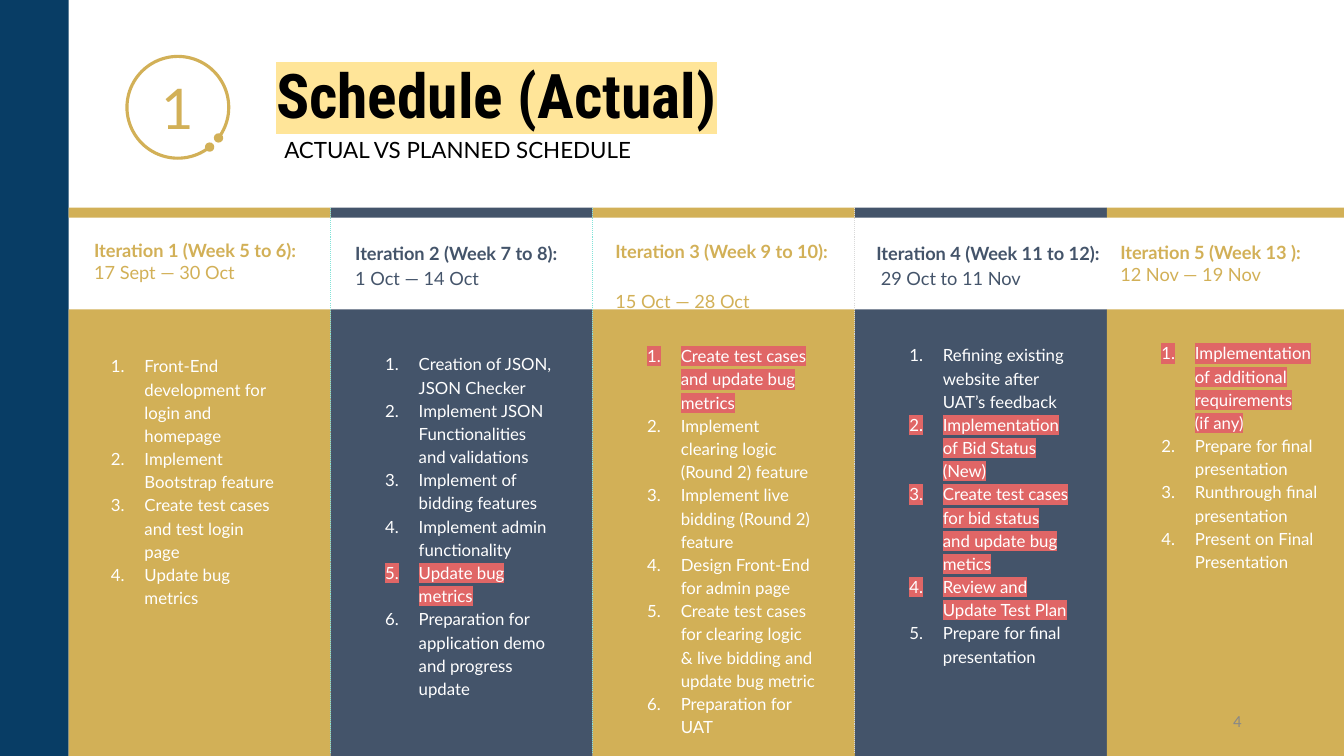
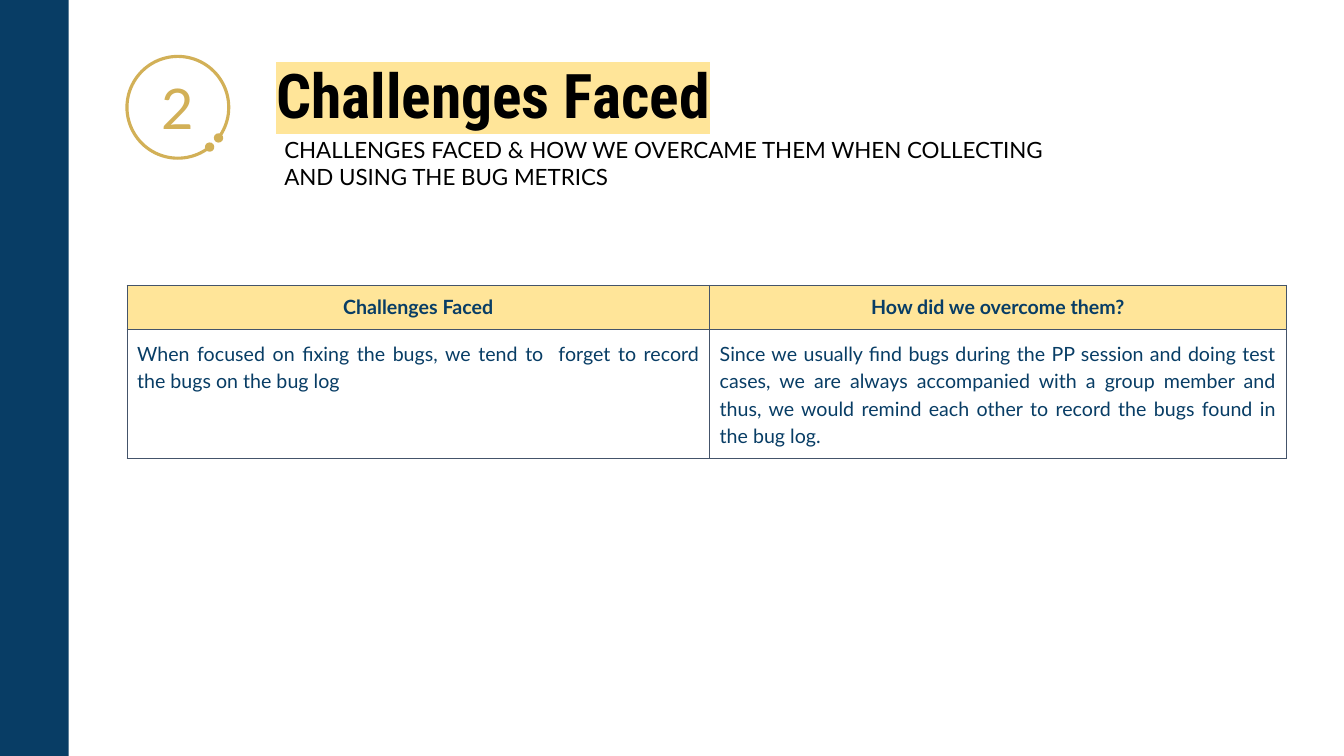
from copy import deepcopy
from lxml.etree import SubElement
from pptx import Presentation
from pptx.dml.color import RGBColor
from pptx.enum.dml import MSO_LINE
from pptx.enum.shapes import MSO_CONNECTOR, MSO_SHAPE
from pptx.enum.text import MSO_ANCHOR, MSO_AUTO_SIZE, PP_ALIGN
from pptx.oxml import parse_xml
from pptx.oxml.ns import nsdecls, qn
from pptx.util import Pt

# Shared look
WIDTH, HEIGHT = 960, 540
NAVY, GOLD, SLATE, CREAM = "083D65", "D2B057", "44546A", "FFE599"
BLACK, WHITE, GREY, RED = "000000", "FFFFFF", "888888", "E06666"
BAR_WIDTH = 49
TITLE_STYLE = {"size": Pt(44), "name": "Roboto Condensed", "bold": True}
SUBTITLE_STYLE = {"size": Pt(16), "name": "Lato"}
NUMBER_STYLE = {"size": Pt(40), "name": "Lato"}
HEAD_STYLE = {"size": Pt(13), "name": "Lato"}
TASK_STYLE = {"size": Pt(12), "name": "Lato"}
CELL_STYLE = {"size": Pt(14), "name": "Lato"}
PAGE_STYLE = {"size": Pt(12), "name": "Calibri"}

# Schedule: boxes are (offset from column, top, width); late tasks are highlighted
BAND_TOP, BAND_HEIGHT, BODY_TOP = 148.3, 7.2, 221
ITERATIONS = [
    {"width": 187.2, "color": GOLD, "divider": "83E3D9", "spacing": 1,
     "head": ("Iteration 1 (Week 5 to 6):\n", "17 Sept — 30 Oct"),
     "head_box": (8.6, 161.3, 168.5), "task_box": (8.6, 242.6, 152), "late": (),
     "tasks": ["Front-End development for login and homepage",
               "Implement Bootstrap feature",
               "Create test cases and test login page",
               "Update bug metrics"]},
    {"width": 187.2, "color": SLATE, "divider": "83E3D9", "spacing": 1.15,
     "head": ("Iteration 2 (Week 7 to 8):\n", "1 Oct — 14 Oct"),
     "head_box": (7.9, 161.3, 170), "task_box": (17.3, 241.2, 152), "late": (5,),
     "tasks": ["Creation of JSON, JSON Checker",
               "Implement JSON Functionalities and validations",
               "Implement of bidding features",
               "Implement admin functionality",
               "Update bug metrics",
               "Preparation for application demo and progress update"]},
    {"width": 187.2, "color": GOLD, "divider": "D9D9D9", "spacing": 1.15,
     "head": ("Iteration 3 (Week 9 to 10):\n\n", "15 Oct — 28 Oct"),
     "head_box": (6.5, 159.8, 176), "task_box": (17.3, 235.4, 152), "late": (1,),
     "tasks": ["Create test cases and update bug metrics",
               "Implement clearing logic (Round 2) feature",
               "Implement live bidding (Round 2) feature",
               "Design Front-End for admin page",
               "Create test cases for clearing logic & live bidding and update bug metric",
               "Preparation for UAT"]},
    {"width": 180, "color": SLATE, "divider": None, "spacing": 1.15,
     "head": ("Iteration 4 (Week 11 to 12):\n ", "29 Oct to 11 Nov"),
     "head_box": (5.8, 161.3, 187.2), "task_box": (17.3, 234.7, 146), "late": (2, 3, 4),
     "tasks": ["Refining existing website after UAT’s feedback",
               "Implementation of Bid Status (New)",
               "Create test cases for bid status and update bug metics",
               "Review and Update Test Plan",
               "Prepare for final presentation"]},
    {"width": 169.4, "color": GOLD, "divider": None, "spacing": 1,
     "head": ("Iteration 5 (Week 13 ):\n", "12 Nov — 19 Nov"),
     "head_box": (0, 162.7, 169), "task_box": (17.3, 233.3, 146), "late": (1,),
     "tasks": ["Implementation of additional requirements\n(if any)",
               "Prepare for final presentation",
               "Runthrough final presentation",
               "Present on Final Presentation"]},
]

# Challenges table
COLUMN_WIDTHS, ROW_HEIGHTS = (416.2, 411.8), (30.6, 92.2)
CHALLENGES = [
    ("Challenges Faced", "How did we overcome them?"),
    ("When focused on fixing the bugs, we tend to  forget to record the bugs on the bug log",
     "Since we usually find bugs during the PP session and doing test cases, we are always "
     "accompanied with a group member and thus, we would remind each other to record the "
     "bugs found in the bug log."),
]


def rgb(value):
    return RGBColor.from_string(value)


def apply(target, values):
    for name, value in values.items():
        setattr(target, name, value)


def add_text(para, text, style, color, highlight=None):
    """Add text in one format; each newline becomes a line break of the same size."""
    for index, line in enumerate(text.split("\n")):
        if index:
            para.add_line_break()
            para._p[-1].append(deepcopy(span._r.rPr))
        span = para.add_run()
        span.text = line
        apply(span.font, style)
        span.font.color.rgb = rgb(color)
        if highlight:
            mark = parse_xml(f'<a:highlight {nsdecls("a")}><a:srgbClr val="{highlight}"/></a:highlight>')
            span._r.rPr.find(qn("a:solidFill")).addnext(mark)


def set_frame(frame, inset_x, inset_y, anchor=MSO_ANCHOR.TOP):
    apply(frame, {"word_wrap": True, "auto_size": MSO_AUTO_SIZE.NONE, "vertical_anchor": anchor,
                  "margin_left": Pt(inset_x), "margin_right": Pt(inset_x),
                  "margin_top": Pt(inset_y), "margin_bottom": Pt(inset_y)})
    return frame


def add_box(page, left, top, width, height, inset_x, inset_y, anchor=MSO_ANCHOR.TOP):
    box = page.shapes.add_textbox(Pt(left), Pt(top), Pt(width), Pt(height))
    return set_frame(box.text_frame, inset_x, inset_y, anchor)


def add_block(page, left, top, width, height, color):
    block = page.shapes.add_shape(MSO_SHAPE.RECTANGLE, Pt(left), Pt(top), Pt(width), Pt(height))
    block.shadow.inherit = False
    block.fill.solid()
    block.fill.fore_color.rgb = rgb(color)
    block.line.fill.background()


def add_page(deck, number, title, subtitle, subtitle_width):
    """Start a slide with the side bar, title, subtitle and ringed number."""
    page = deck.slides.add_slide(deck.slide_layouts[5])
    add_block(page, 0, 0, BAR_WIDTH, HEIGHT, NAVY)
    heading = page.shapes.title
    apply(heading, {"left": Pt(190), "top": Pt(18.7), "width": Pt(680), "height": Pt(78.5)})
    para = set_frame(heading.text_frame, 7.2, 3.6, MSO_ANCHOR.BOTTOM).paragraphs[0]
    para.alignment = PP_ALIGN.LEFT
    add_text(para, title, TITLE_STYLE, BLACK, CREAM)

    frame = add_box(page, 196, 90, subtitle_width, 54, 7.2, 7.2)
    add_text(frame.paragraphs[0], subtitle, SUBTITLE_STYLE, BLACK)

    ring = page.shapes.add_shape(MSO_SHAPE.ARC, Pt(90.7), Pt(40.3), Pt(72.7), Pt(72.7))
    ring.shadow.inherit = False
    ring.adjustments[0], ring.adjustments[1] = 30.83, 22.19
    ring.fill.background()
    ring.line.color.rgb = rgb(GOLD)
    ring.line.width = Pt(2.25)
    for end in ("a:headEnd", "a:tailEnd"):
        SubElement(ring.line._get_or_add_ln(), qn(end), type="oval")
    para = set_frame(ring.text_frame, 7.2, 3.6, MSO_ANCHOR.MIDDLE).paragraphs[0]
    para.alignment = PP_ALIGN.CENTER
    add_text(para, number, NUMBER_STYLE, GOLD)
    return page


def number_paragraph(para):
    props = para._p.get_or_add_pPr()
    props.set("marL", str(Pt(36)))
    props.set("indent", str(-Pt(24)))
    SubElement(SubElement(props, qn("a:buClr")), qn("a:srgbClr"), val=WHITE)
    SubElement(props, qn("a:buFont"), typeface="Lato")
    SubElement(props, qn("a:buAutoNum"), type="arabicPeriod")


def add_divider(page, x, color):
    line = page.shapes.add_connector(MSO_CONNECTOR.STRAIGHT, Pt(x), Pt(BAND_TOP), Pt(x), Pt(538.6))
    apply(line.line, {"width": Pt(0.75), "dash_style": MSO_LINE.ROUND_DOT})
    line.line.color.rgb = rgb(color)
    SubElement(line._element.spPr, qn("a:effectLst"))


def add_iteration(page, left, item):
    width, color = item["width"], item["color"]
    add_block(page, left, BODY_TOP, width, HEIGHT - BODY_TOP, color)
    add_block(page, left, BAND_TOP, width, BAND_HEIGHT, color)

    # Week and dates
    offset, top, box_width = item["head_box"]
    para = add_box(page, left + offset, top, box_width, 54, 9.6, 9.6).paragraphs[0]
    apply(para, {"line_spacing": item["spacing"], "space_after": Pt(21)})
    for text, bold in zip(item["head"], (True, False)):
        add_text(para, text, {**HEAD_STYLE, "bold": bold}, color)

    # Numbered tasks
    offset, top, box_width = item["task_box"]
    frame = add_box(page, left + offset, top, box_width, 245, 9.6, 9.6)
    for index, task in enumerate(item["tasks"], 1):
        para = frame.paragraphs[0] if index == 1 else frame.add_paragraph()
        para.line_spacing = 1.15
        number_paragraph(para)
        add_text(para, task, TASK_STYLE, WHITE, RED if index in item["late"] else None)


def add_schedule(deck):
    page = add_page(deck, "1", "Schedule (Actual)", "ACTUAL VS PLANNED SCHEDULE", 384)
    left, dividers = BAR_WIDTH, []
    for item in ITERATIONS:
        add_iteration(page, left, item)
        left += item["width"]
        if item["divider"]:
            dividers.append((left, item["divider"]))
    for x, color in dividers:
        add_divider(page, x, color)
    para = add_box(page, 678, 500.4, 216, 28.8, 7.2, 3.6, MSO_ANCHOR.MIDDLE).paragraphs[0]
    para.alignment = PP_ALIGN.RIGHT
    add_text(para, "4", PAGE_STYLE, GREY)


def fill_cell(cell, text, is_head):
    apply(cell, {"margin_left": Pt(7.2), "margin_right": Pt(7.2), "margin_top": Pt(7.2),
                 "margin_bottom": Pt(7.2),
                 "vertical_anchor": MSO_ANCHOR.MIDDLE if is_head else MSO_ANCHOR.TOP})
    if is_head:
        cell.fill.solid()
        cell.fill.fore_color.rgb = rgb(CREAM)
    else:
        cell.fill.background()
    for index, side in enumerate("LRTB"):
        border = parse_xml(f'<a:ln{side} {nsdecls("a")} w="{Pt(0.75)}"><a:solidFill>'
                           f'<a:srgbClr val="{SLATE}"/></a:solidFill></a:ln{side}>')
        cell._tc.tcPr.insert(index, border)
    para = cell.text_frame.paragraphs[0]
    apply(para, {"alignment": PP_ALIGN.CENTER if is_head else PP_ALIGN.JUSTIFY,
                 "line_spacing": 1 if is_head else 1.15})
    add_text(para, text, {**CELL_STYLE, "bold": is_head}, NAVY)


def add_challenges(deck):
    page = add_page(deck, "2", "Challenges Faced",
                    "CHALLENGES FACED & HOW WE OVERCAME THEM WHEN COLLECTING "
                    "AND USING THE BUG METRICS", 580)
    table = page.shapes.add_table(len(ROW_HEIGHTS), len(COLUMN_WIDTHS), Pt(90.7), Pt(203.8),
                                  Pt(sum(COLUMN_WIDTHS)), Pt(sum(ROW_HEIGHTS))).table
    for column, width in zip(table.columns, COLUMN_WIDTHS):
        column.width = Pt(width)
    for row, height, texts in zip(table.rows, ROW_HEIGHTS, CHALLENGES):
        row.height = Pt(height)
        for cell, text in zip(row.cells, texts):
            fill_cell(cell, text, texts is CHALLENGES[0])


def main():
    deck = Presentation()
    apply(deck, {"slide_width": Pt(WIDTH), "slide_height": Pt(HEIGHT)})
    add_schedule(deck)
    add_challenges(deck)
    deck.save("out.pptx")


if __name__ == "__main__":
    main()
